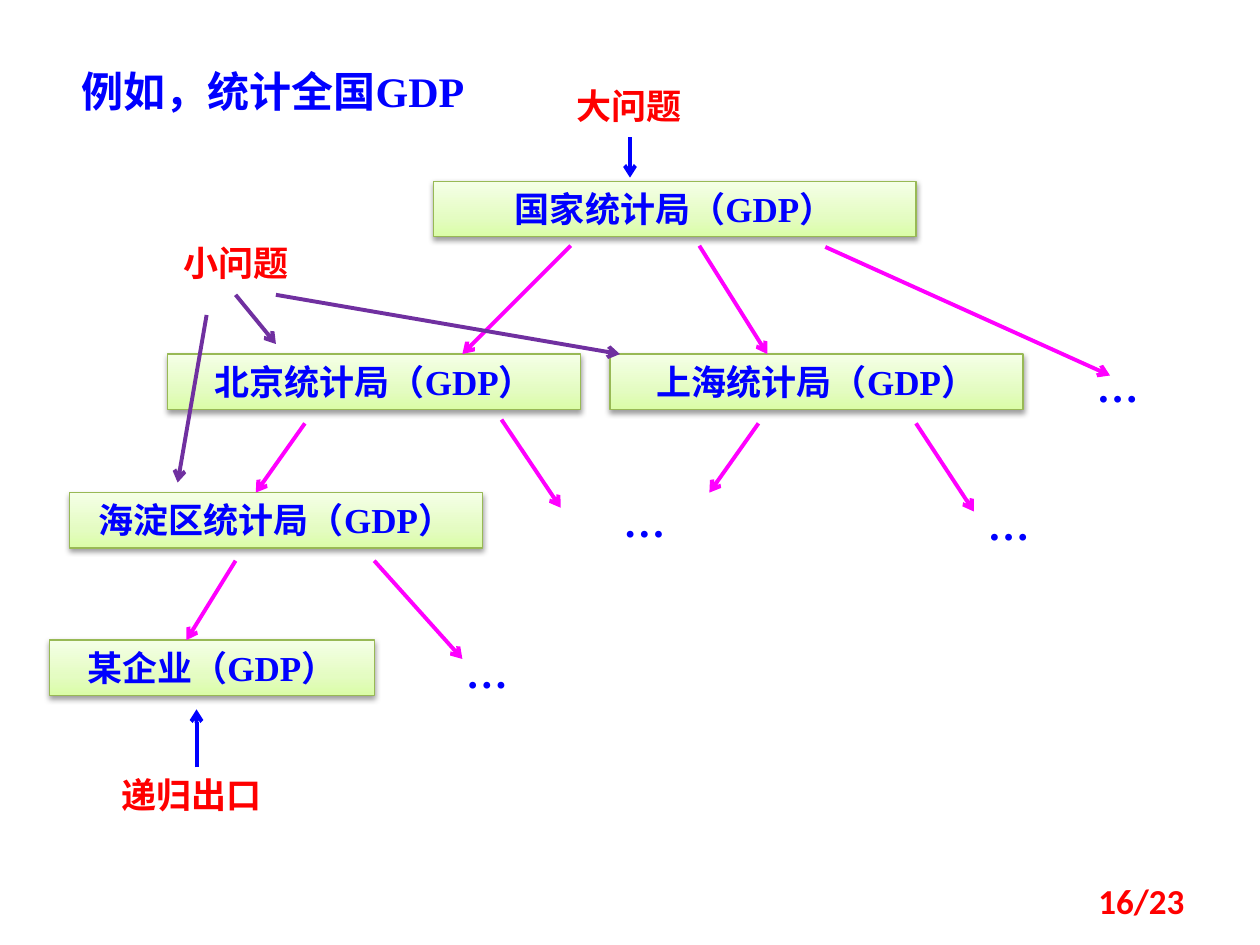
import pptx
import pptx.util
import pptx.dml.color
import pptx.enum.shapes
import pptx.enum.text
import pptx.oxml
import pptx.oxml.ns
from lxml import etree

Inches, Pt = pptx.util.Inches, pptx.util.Pt
RGBColor = pptx.dml.color.RGBColor
ALIGN = pptx.enum.text.PP_ALIGN
ANCHOR = pptx.enum.text.MSO_ANCHOR
qn = pptx.oxml.ns.qn

BLUE = RGBColor(0x00, 0x00, 0xFF)
RED = RGBColor(0xFF, 0x00, 0x00)
MAGENTA = RGBColor(0xFF, 0x00, 0xFF)
PURPLE = RGBColor(0x70, 0x30, 0xA0)
BOX_LINE = RGBColor(0x98, 0xB9, 0x55)
BOX_STOPS = [  # bottom to top: position in percent, colour
    (0, RGBColor(0xDA, 0xFD, 0xA7)),
    (35, RGBColor(0xE4, 0xFC, 0xC2)),
    (100, RGBColor(0xF5, 0xFF, 0xE7)),
]
SERIF = "Times New Roman"
BOX_H = LABEL_H = 0.44
DOTS_H = 0.5

# Content: bureaus are (text, left, top, width)
BUREAUS = [
    ("国家统计局（GDP）", 3.44, 1.44, 3.83),
    ("北京统计局（GDP）", 1.33, 2.81, 3.28),
    ("上海统计局（GDP）", 4.84, 2.81, 3.28),
    ("海淀区统计局（GDP）", 0.55, 3.91, 3.28),
    ("某企业（GDP）", 0.39, 5.08, 2.58),
]
LABELS = [
    ("大问题", 4.37, 0.62, 1.25),
    ("小问题", 1.25, 1.87, 1.25),
    ("递归出口", 0.7, 6.09, 1.64),
]
DOTS = [(8.44, 2.81, 0.86), (4.53, 3.88, 1.17), (7.42, 3.91, 1.17), (3.28, 5.08, 1.17)]

# Arrows by colour: (x1, y1, x2, y2)
ARROWS = {
    MAGENTA: [
        (4.53, 1.95, 3.67, 2.81), (5.55, 1.95, 6.09, 2.81), (6.55, 1.96, 8.81, 2.98),
        (2.42, 3.36, 2.03, 3.91), (3.98, 3.33, 4.45, 4.03),
        (6.02, 3.36, 5.63, 3.91), (7.27, 3.36, 7.73, 4.06),
        (1.87, 4.45, 1.48, 5.08), (2.97, 4.45, 3.67, 5.23),
    ],
    BLUE: [(5, 1.09, 5, 1.41), (1.56, 6.09, 1.56, 5.63)],
    PURPLE: [(1.87, 2.34, 2.19, 2.73), (2.19, 2.34, 4.92, 2.81), (1.64, 2.5, 1.41, 3.83)],
}


def write(sp, text, size, color, align=ALIGN.CENTER, font=SERIF, anchor=ANCHOR.TOP):
    tf = sp.text_frame
    tf.word_wrap = True
    tf.vertical_anchor = anchor
    p = tf.paragraphs[0]
    p.text = text
    p.alignment = align
    r = p.runs[0]
    r.font.size = Pt(size)
    r.font.name = font
    r.font.bold = True
    r.font.color.rgb = color


def add_text(s, text, x, y, w, h, size, color, **style):
    sp = s.shapes.add_textbox(Inches(x), Inches(y), Inches(w), Inches(h))
    write(sp, text, size, color, **style)


def add_bureau(s, text, x, y, w):
    sp = s.shapes.add_shape(pptx.enum.shapes.MSO_SHAPE.RECTANGLE,
                            Inches(x), Inches(y), Inches(w), Inches(BOX_H))
    sp.line.color.rgb = BOX_LINE
    sp.line.width = Pt(0.75)
    # Three-stop gradient
    stops = "".join(f'<a:gs pos="{pos * 1000}"><a:srgbClr val="{c}"/></a:gs>'
                    for pos, c in BOX_STOPS)
    grad = pptx.oxml.parse_xml(
        f'<a:gradFill {pptx.oxml.ns.nsdecls("a")} rotWithShape="1">'
        f'<a:gsLst>{stops}</a:gsLst><a:lin ang="16200000" scaled="0"/></a:gradFill>')
    sp_pr = sp.element.spPr
    sp_pr.find(qn("a:prstGeom")).addnext(grad)
    # Soft shadow below the box
    sp.shadow.inherit = False
    shadow = etree.SubElement(sp_pr.find(qn("a:effectLst")), qn("a:outerShdw"),
                              blurRad="40000", dist="20000", dir="5400000", rotWithShape="0")
    black = etree.SubElement(shadow, qn("a:srgbClr"), val="000000")
    etree.SubElement(black, qn("a:alpha"), val="38000")
    write(sp, text, 20, BLUE)


def add_arrow(s, x1, y1, x2, y2, color):
    line = s.shapes.add_connector(pptx.enum.shapes.MSO_CONNECTOR.STRAIGHT,
                                  Inches(x1), Inches(y1), Inches(x2), Inches(y2))
    line.line.color.rgb = color
    line.line.width = Pt(2.25)
    etree.SubElement(line.line._get_or_add_ln(), qn("a:tailEnd"), type="arrow")
    etree.SubElement(line.element.spPr, qn("a:effectLst"))


def main():
    prs = pptx.Presentation()
    prs.slide_width, prs.slide_height = Inches(10), Inches(7.5)
    s = prs.slides.add_slide(prs.slide_layouts[6])

    # Title and page number
    add_text(s, "例如，统计全国GDP", 0.55, 0.47, 3.52, 0.5, 24, BLUE, align=ALIGN.LEFT)
    add_text(s, "16/23", 7.17, 6.95, 2.33, 0.4, 20, RED,
             align=ALIGN.RIGHT, font="Calibri", anchor=ANCHOR.MIDDLE)

    # Tree of bureaus
    for bureau in BUREAUS:
        add_bureau(s, *bureau)
    for x, y, w in DOTS:
        add_text(s, "…", x, y, w, DOTS_H, 24, BLUE)

    # Red labels
    for text, x, y, w in LABELS:
        add_text(s, text, x, y, w, LABEL_H, 20, RED)

    # Arrows
    for color, arrows in ARROWS.items():
        for ends in arrows:
            add_arrow(s, *ends, color)

    prs.save("out.pptx")


if __name__ == "__main__":
    main()
